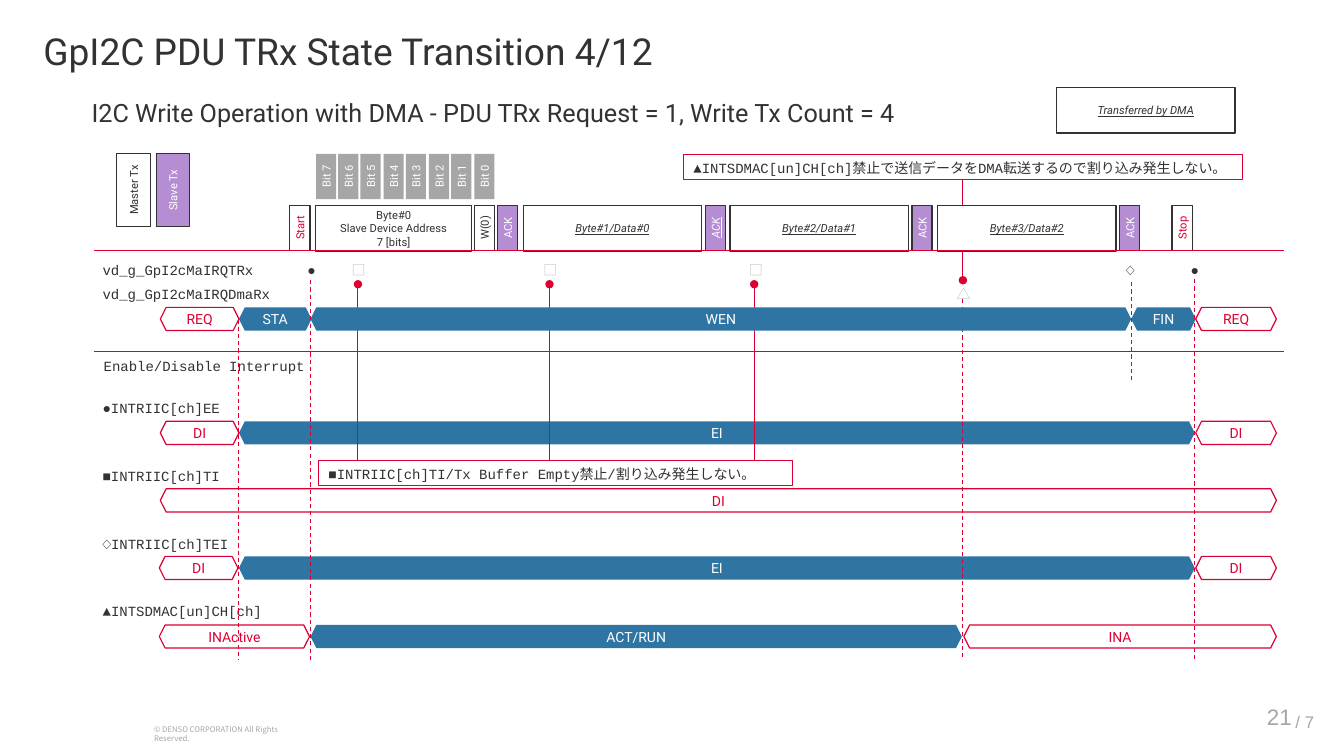
from lxml import etree
from pptx import Presentation
from pptx.dml.color import RGBColor
from pptx.enum.dml import MSO_LINE
from pptx.enum.shapes import MSO_CONNECTOR, MSO_SHAPE
from pptx.enum.text import MSO_ANCHOR, MSO_AUTO_SIZE, PP_ALIGN
from pptx.oxml.ns import qn
from pptx.util import Pt

PX = 9144  # one px is a hundredth of an inch
RECT, HEXAGON = MSO_SHAPE.RECTANGLE, MSO_SHAPE.HEXAGON
LEFT, CENTER, RIGHT = PP_ALIGN.LEFT, PP_ALIGN.CENTER, PP_ALIGN.RIGHT
TOP, MIDDLE = MSO_ANCHOR.TOP, MSO_ANCHOR.MIDDLE
STRAIGHT, DASH = MSO_CONNECTOR.STRAIGHT, MSO_LINE.DASH

THEME = {
    "ink": "323232", "red": "DC0032", "blue": "2F75A3", "purple": "B48DD2",
    "gray": "A6A6A6", "pale": "BFBFBF", "white": "FFFFFF",
    "sans": "Roboto", "mono": "Courier New", "cjk": "Noto Sans CJK JP", "footer": "Arial",
    "title": 26.5, "subtitle": 18, "page": 16, "pages": 12, "body": 10, "small": 8, "legal": 5.5,
    "outline": 0.85, "rule": 0.75,
}

prs = Presentation()
prs.slide_width, prs.slide_height = 1333 * PX, 750 * PX
s = prs.slides.add_slide(prs.slide_layouts[5])


def add_box(text, x, y, w, h, kind=None, fill=None, line=None, weight="outline", color="ink",
            size="body", font="sans", align=CENTER, anchor=MIDDLE, inset=(0, 0), turn=0,
            emphasis=False, wrap=True):
    frame = [v * PX for v in (x, y, w, h)]
    if kind is None:
        sp = s.shapes.add_textbox(*frame)
    else:
        sp = s.shapes.add_shape(kind, *frame)
        sp.shadow.inherit = False
        sp.rotation = turn
        if fill:
            sp.fill.solid()
            sp.fill.fore_color.rgb = RGBColor.from_string(THEME[fill])
        else:
            sp.fill.background()
        if line:
            sp.line.color.rgb = RGBColor.from_string(THEME[line])
            sp.line.width = Pt(THEME[weight])
        else:
            sp.line.fill.background()
    tf = sp.text_frame
    tf.word_wrap, tf.vertical_anchor = wrap, anchor
    tf.margin_left = tf.margin_right = inset[0] * PX
    tf.margin_top = tf.margin_bottom = inset[1] * PX
    tf.text = text
    for p in tf.paragraphs:
        p.alignment = align
        p.font.size, p.font.name = Pt(THEME[size]), THEME[font]
        p.font.color.rgb = RGBColor.from_string(THEME[color])
        if emphasis:
            p.font.italic = p.font.underline = True
        ea = etree.SubElement(p._p.pPr.find(qn("a:defRPr")), qn("a:ea"))
        ea.set("typeface", THEME["cjk"])
    return sp


def add_line(x1, y1, x2, y2, dash=False, dot=False):
    c = s.shapes.add_connector(STRAIGHT, x1 * PX, y1 * PX, x2 * PX, y2 * PX)
    c.line.color.rgb = RGBColor.from_string(THEME["red"])
    c.line.width = Pt(THEME["rule"])
    if dash:
        c.line.dash_style = DASH
    if dot:
        etree.SubElement(c.line._get_or_add_ln(), qn("a:tailEnd")).set("type", "oval")
    etree.SubElement(c._element.spPr, qn("a:effectLst"))
    return c


PLAIN = {"align": LEFT, "anchor": TOP, "inset": (10, 5)}
LABEL = {**PLAIN, "font": "mono"}
NOTE = {**LABEL, "kind": RECT, "line": "red", "weight": "rule"}
CELL = {"kind": RECT, "line": "ink", "size": "small"}
WHITE = {**CELL, "fill": "white"}
PURPLE = {**CELL, "fill": "purple", "color": "white", "turn": 270}
ON = {"kind": HEXAGON, "fill": "blue", "color": "white"}
OFF = {"kind": HEXAGON, "fill": "white", "line": "red", "color": "red"}

# Footer
add_box("© DENSO CORPORATION All Rights Reserved.", 143, 714, 178, 19, size="legal",
        font="cjk", color="gray", **PLAIN)
add_box("21", 1220, 693, 71, 35, size="page", font="footer", color="gray", align=RIGHT, inset=(10, 4))
add_box("/ 7", 1275, 702, 39, 28, size="pages", font="footer", color="gray", align=LEFT,
        inset=(10, 4), wrap=False)

# Title and subtitle
sp = s.shapes.title
sp.left, sp.top, sp.width, sp.height = 0, 28 * PX, 1182 * PX, 45 * PX
tf = sp.text_frame
tf.text = "GpI2C PDU TRx State Transition 4/12"
tf.auto_size, tf.vertical_anchor = MSO_AUTO_SIZE.NONE, TOP
tf.margin_left, tf.margin_right = 43 * PX, 10 * PX
tf.margin_top = tf.margin_bottom = 5 * PX
p = tf.paragraphs[0]
p.alignment, p.line_spacing = LEFT, 0.9
p.font.size, p.font.name = Pt(THEME["title"]), THEME["sans"]
p.font.color.rgb = RGBColor.from_string(THEME["ink"])

sp = add_box("I2C Write Operation with DMA - PDU TRx Request = 1, Write Tx Count = 4", 81, 86, 856, 36,
             size="subtitle", align=LEFT, anchor=TOP, inset=(10, 0), wrap=False)
sp.text_frame.paragraphs[0].line_spacing = 1.35

# Bit header
for i in range(8):
    add_box(f"Bit {7 - i}", 301 + 157 * i // 7, 165, 45, 20, kind=RECT, fill="gray",
            color="white", size="small", turn=270)

# Legend
add_box("Master Tx", 96, 172, 73, 33, turn=270, **WHITE)
add_box("Slave Tx", 135, 172, 73, 33, **PURPLE)
add_box("Transferred by DMA", 1048, 87, 177, 45, emphasis=True, **WHITE)

# Interrupt labels
for text, x, y, w in [
    ("Enable/Disable Interrupt", 93, 350, 265),
    ("●INTRIIC[ch]EE", 92, 391, 147),
    ("■INTRIIC[ch]TI", 92, 459, 147),
    ("◇INTRIIC[ch]TEI", 92, 526, 166),
    ("▲INTSDMAC[un]CH[ch]", 92, 593, 185),
]:
    add_box(text, x, y, w, 27, **LABEL)

# Interrupt states: top, then text, left, right and style of each span
for y, spans in [
    (418, [("EI", 237, 1185, ON), ("DI", 1186, 1266, OFF), ("DI", 159, 237, OFF)]),
    (485, [("DI", 159, 1266, OFF)]),
    (552, [("EI", 237, 1185, ON), ("DI", 1186, 1266, OFF), ("DI", 158, 236, OFF)]),
    (620, [("ACT/RUN", 308, 954, ON), ("INA", 956, 1266, OFF), ("INActive", 158, 307, OFF)]),
]:
    for text, left, right, style in spans:
        add_box(text, left, y, right - left, 23, **style)

# Notes and their leaders
add_box("■INTRIIC[ch]TI/Tx Buffer Empty禁止/割り込み発生しない。", 316, 457, 470, 25, **NOTE)
for x in (748, 355, 545):
    add_line(x, 457, x, 282, dot=True)
add_line(955, 297, 955, 655, dash=True)
dma_note = add_box("▲INTSDMAC[un]CH[ch]禁止で送信データをDMA転送するので割り込み発生しない。",
                   678, 153, 554, 25, **NOTE)
add_line(955, 178, 955, 278, dot=True).begin_connect(dma_note, 2)

# Bus frames
for text, x in [("Start", 275), ("Stop", 1150)]:
    add_box(text, x, 216, 45, 20, **{**WHITE, "color": "red", "turn": 270})
add_box("Byte#0\nSlave Device Address\n7 [bits]", 313, 204, 155, 45, **WHITE)
add_box("W(0)", 458, 216, 45, 20, turn=270, **WHITE)
add_box("ACK", 481, 216, 45, 20, **PURPLE)
for i, x in enumerate((519, 724, 930)):
    add_box(f"Byte#{i + 1}/Data#{i}", x, 204, 177, 45, emphasis=True, **WHITE)
    add_box("ACK", x + 168, 216, 45, 20, emphasis=i == 0, **PURPLE)

# Driver states
for text, left, right, style in [
    ("STA", 237, 309, ON), ("WEN", 308, 1122, ON), ("FIN", 1122, 1186, ON),
    ("REQ", 1186, 1266, OFF), ("REQ", 159, 237, OFF),
]:
    add_box(text, left, 305, right - left, 23, **style)
for y in (349, 249):
    add_line(93, y, 1274, y)

# Interrupt request marks
for text, x, y, color, font in [
    ("●", 293, 255, "ink", "mono"), ("□", 339, 255, "pale", "cjk"),
    ("□", 529, 255, "pale", "cjk"), ("□", 733, 255, "pale", "cjk"),
    ("◇", 1105, 255, "ink", "mono"), ("●", 1169, 255, "ink", "mono"),
    ("△", 939, 278, "pale", "cjk"),
]:
    add_box(text, x, y, 32, 27, color=color, font=font, anchor=TOP, inset=(10, 5))
add_box("vd_g_GpI2cMaIRQTRx", 92, 255, 196, 27, **LABEL)
add_box("vd_g_GpI2cMaIRQDmaRx", 92, 278, 196, 27, **LABEL)

# State change guides
for x, top, bottom in [(1185, 277, 655), (308, 278, 655), (237, 317, 655), (1122, 280, 377)]:
    add_line(x, top, x, bottom, dash=True)

prs.save("out.pptx")
